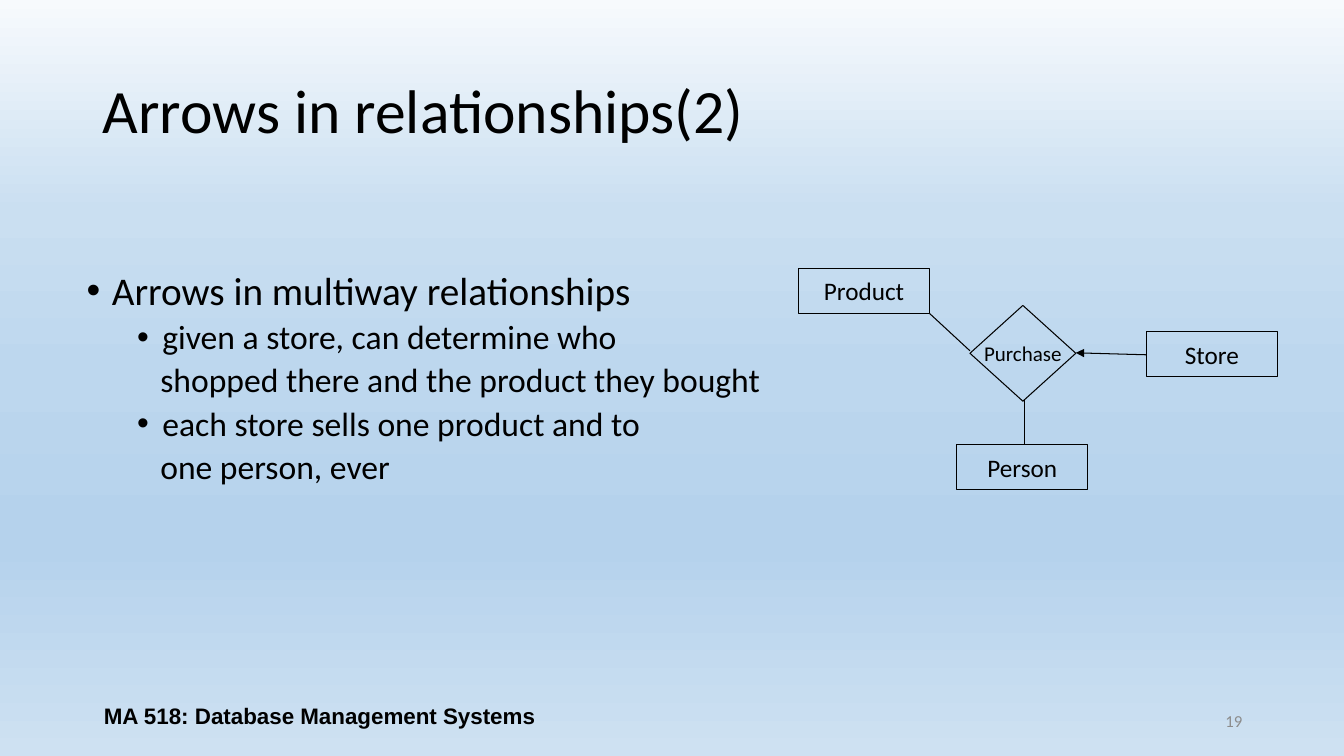
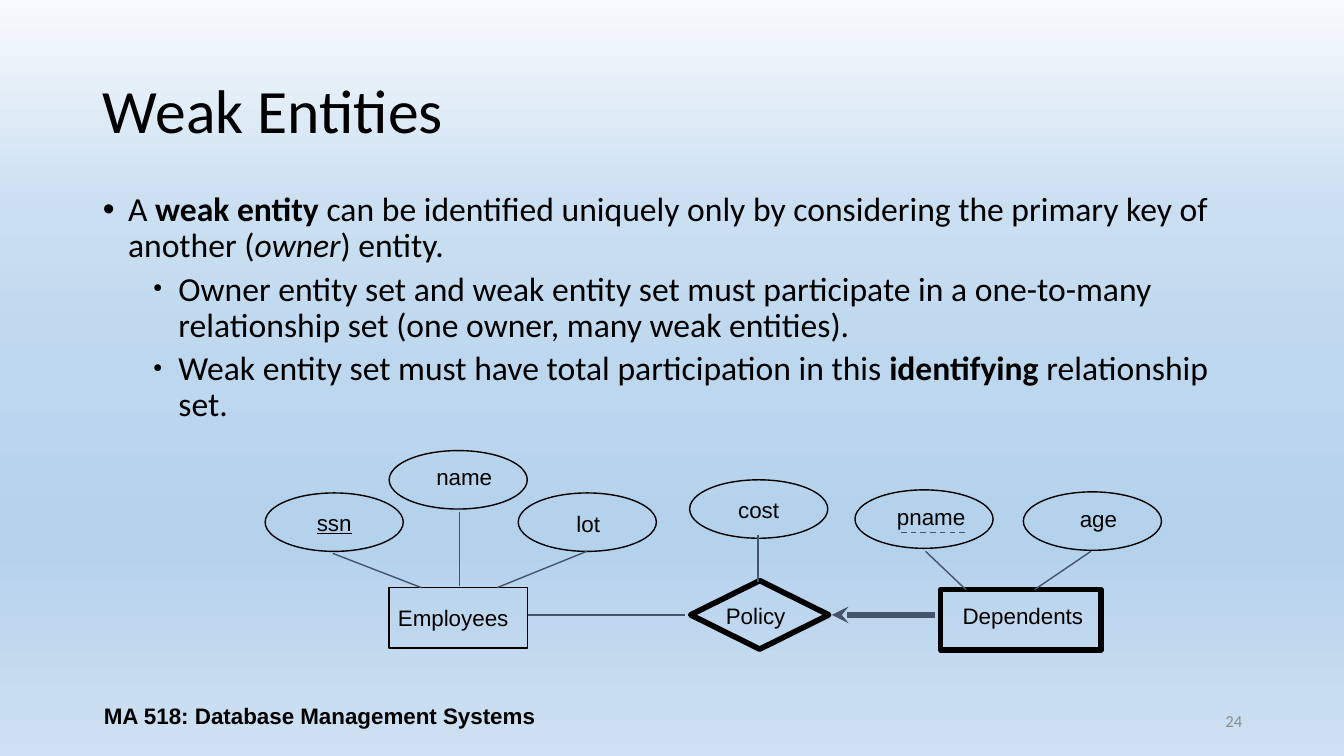
from lxml.etree import SubElement
from pptx import Presentation
from pptx.dml.color import RGBColor
from pptx.enum.dml import MSO_LINE
from pptx.enum.shapes import MSO_CONNECTOR, MSO_SHAPE
from pptx.enum.text import MSO_ANCHOR, MSO_AUTO_SIZE, PP_ALIGN
from pptx.oxml.ns import qn
from pptx.util import Inches, Pt

INK = {"text": "000000", "page": "8C8C8C", "link": "44546A"}
SKY = {0: "F7FAFD", 28: "CADFF1", 49: "BDD7EE", 71: "B5D2EC", 72: "B5D2EC", 100: "CEE1F2"}
COURSE = "MA 518: Database Management Systems"
LEFT, WIDE = 0.92, 11.5
FORM = {"box": MSO_SHAPE.RECTANGLE, "diamond": MSO_SHAPE.DIAMOND, "oval": MSO_SHAPE.OVAL}
BOX, OVAL = (1.3, 0.45), (1.37, 0.58)

# Paragraph kinds: level, left indent, first-line indent, space before, bullet size in %
KIND = {
    "main": (0, 0.25, -0.25, 10, 100),
    "sub": (1, 0.75, -0.25, 5, 100),
    "small": (1, 0.75, -0.25, 5, 75),
    "more": (1, 0.73, 0, 5, None),
}

# Nodes: form, label, left, top, size, line width, font size, label shift
# Links: from, to, colour, width, arrowhead at the end, dashed
SLIDES = [
    {
        "title": "Arrows in relationships(2)",
        "page": 19,
        "body": (0.76, 2.64, WIDE, 3.82),
        "text": [
            ("main", 28, [("Arrows in multiway relationships", "")]),
            ("sub", 24, [("given a store, can determine who", "")]),
            ("more", 24, [("shopped there and the product they bought", "")]),
            ("sub", 24, [("each store sells one product and to", "")]),
            ("more", 24, [("one person, ever", "")]),
        ],
        "font": "Calibri",
        "nodes": [
            ("diamond", "Purchase", 9.62, 3.03, (1.05, 0.95), 0.75, 15, (0, 0)),
            ("box", "Product", 7.92, 2.66, BOX, 0.75, 18, (0, 0)),
            ("box", "Person", 9.49, 4.41, BOX, 0.75, 18, (0, 0)),
            ("box", "Store", 11.37, 3.29, BOX, 0.75, 18, (0, 0)),
        ],
        "links": [
            ((10.16, 3.96), (10.16, 4.41), "text", 0.75, None, False),
            ((9.22, 3.11), (9.62, 3.48), "text", 0.75, None, False),
            ((11.37, 3.52), (10.67, 3.5), "text", 0.75, "triangle", False),
        ],
    },
    {
        "title": "Weak Entities",
        "page": 24,
        "body": (LEFT, 1.86, WIDE, 4.76),
        "text": [
            ("main", 24, [
                ("A ", ""), ("weak entity ", "b"),
                ("can be identified uniquely only by considering the primary key of another (", ""),
                ("owner", "i"), (") entity.", ""),
            ]),
            ("small", 24, [("Owner entity set and weak entity set must participate in a "
                            "one-to-many relationship set (one owner, many weak entities).", "")]),
            ("small", 24, [
                ("Weak entity set must have total participation in this ", ""),
                ("identifying ", "b"), ("relationship set.", ""),
            ]),
        ],
        "font": "Arial",
        "nodes": [
            ("oval", "ssn", 2.63, 4.89, OVAL, 1, 16, (0, 0)),
            ("oval", "name", 3.86, 4.47, OVAL, 1, 16, (0.06, -0.03)),
            ("oval", "lot", 5.14, 4.89, OVAL, 1, 16, (0.01, 0.01)),
            ("oval", "cost", 6.84, 4.76, OVAL, 1, 16, (0, 0.01)),
            ("oval", "pname", 8.48, 4.86, OVAL, 1, 16, (0.07, -0.03)),
            ("oval", "age", 10.15, 4.88, OVAL, 1, 16, (0.06, -0.03)),
            ("box", "Employees", 3.86, 5.83, (1.37, 0.6), 1, 16, (-0.05, 0)),
            ("diamond", "Policy", 6.85, 5.76, (1.37, 0.68), 4, 16, (-0.04, 0.01)),
            ("box", "Dependents", 9.33, 5.85, (1.59, 0.6), 4, 16, (0.02, -0.04)),
        ],
        "keys": ["ssn"],
        "links": [
            ((9.57, 5.28), (8.91, 5.28), "link", 1, None, True),
            ((4.56, 5.08), (4.56, 5.81), "link", 1, None, False),
            ((3.3, 5.49), (4.18, 5.83), "link", 1, None, False),
            ((5.82, 5.47), (4.93, 5.83), "link", 1, None, False),
            ((7.52, 5.77), (7.52, 5.31), "link", 1, None, False),
            ((9.18, 5.47), (9.58, 5.85), "link", 1, None, False),
            ((10.82, 5.47), (10.26, 5.85), "link", 1, None, False),
            ((6.79, 6.1), (5.24, 6.1), "link", 1, None, False),
            ((9.27, 6.1), (8.25, 6.1), "link", 4, "stealth", False),
        ],
    },
]


def color(name):
    return RGBColor.from_string(INK[name])


def style(para, size, face="Calibri", ink="text", align=PP_ALIGN.LEFT):
    para.alignment = align
    para.font.size, para.font.name = Pt(size), face
    para.font.color.rgb = color(ink)


def place(shape, left, top, wide, high):
    shape.left, shape.top = Inches(left), Inches(top)
    shape.width, shape.height = Inches(wide), Inches(high)


def paint(master):
    """Give the master the sky gradient, light at the top."""
    fill = master.background.fill
    fill.gradient()
    fill.gradient_angle = 270
    stops = master.element.find(".//" + qn("a:gsLst"))
    for stop in list(stops):
        stops.remove(stop)
    for share, tint in SKY.items():
        stop = SubElement(stops, qn("a:gs"), pos=str(share * 1000))
        SubElement(stop, qn("a:srgbClr"), val=tint)


def add_title(slide, text):
    title = slide.shapes.title
    place(title, LEFT, 0.4, WIDE, 1.45)
    frame = title.text_frame
    frame.text = text
    frame.vertical_anchor = MSO_ANCHOR.MIDDLE
    frame.auto_size = MSO_AUTO_SIZE.NONE
    frame.paragraphs[0].line_spacing = 0.9
    style(frame.paragraphs[0], 44)


def add_body(slide, area, text):
    body = slide.placeholders[1]
    place(body, *area)
    frame = body.text_frame
    frame.auto_size = MSO_AUTO_SIZE.NONE
    for i, (kind, size, runs) in enumerate(text):
        para = frame.paragraphs[0] if i == 0 else frame.add_paragraph()
        level, left, first, before, dot = KIND[kind]
        para.level = level
        para.line_spacing, para.space_before = 0.9, Pt(before)
        props = para._p.get_or_add_pPr()
        props.set("marL", str(Inches(left)))
        props.set("indent", str(Inches(first)))
        if dot:
            SubElement(props, qn("a:buSzPct"), val=str(dot * 1000))
            SubElement(props, qn("a:buFont"), typeface="Arial")
            SubElement(props, qn("a:buChar"), char="•")
        else:
            SubElement(props, qn("a:buNone"))
        style(para, size)
        for words, mark in runs:
            run = para.add_run()
            run.text = words
            if mark == "b":
                run.font.bold = True
            elif mark == "i":
                run.font.italic = True


def add_note(slide, area, text, *look):
    frame = slide.shapes.add_textbox(*map(Inches, area)).text_frame
    frame.word_wrap = True
    frame.vertical_anchor = MSO_ANCHOR.MIDDLE
    frame.text = text
    style(frame.paragraphs[0], *look)
    return frame.paragraphs[0]


def add_node(slide, face, keys, form, label, left, top, size, line, points, shift):
    node = slide.shapes.add_shape(FORM[form], *map(Inches, (left, top, *size)))
    node.shadow.inherit = False
    node.fill.background()
    node.line.color.rgb = color("text")
    node.line.width = Pt(line)
    frame = node.text_frame
    frame.word_wrap = False
    frame.vertical_anchor = MSO_ANCHOR.MIDDLE
    dx, dy = shift
    frame.margin_left, frame.margin_right = Inches(0.1 + dx), Inches(0.1 - dx)
    frame.margin_top, frame.margin_bottom = Inches(0.05 + dy), Inches(0.05 - dy)
    frame.text = label
    style(frame.paragraphs[0], points, face, "text", PP_ALIGN.CENTER)
    if label in keys:
        frame.paragraphs[0].runs[0].font.underline = True


def add_link(slide, start, end, ink, width, head, dashed):
    link = slide.shapes.add_connector(MSO_CONNECTOR.STRAIGHT, *map(Inches, start + end))
    link.line.color.rgb = color(ink)
    link.line.width = Pt(width)
    if dashed:
        link.line.dash_style = MSO_LINE.DASH
    if head:
        SubElement(link.line._get_or_add_ln(), qn("a:tailEnd"), type=head)
    SubElement(link._element.spPr, qn("a:effectLst"))


def main():
    deck = Presentation()
    deck.slide_width, deck.slide_height = Inches(13.33), Inches(7.5)
    paint(deck.slide_master)
    for data in SLIDES:
        slide = deck.slides.add_slide(deck.slide_layouts[1])
        add_title(slide, data["title"])
        add_body(slide, data["body"], data["text"])
        add_note(slide, (9.42, 6.95, 3, 0.4), str(data["page"]),
                 12, "Calibri", "page", PP_ALIGN.RIGHT)
        course = add_note(slide, (LEFT, 6.9, 4.5, 0.4), COURSE,
                          16, "Arial", "text", PP_ALIGN.CENTER)
        course.font.bold = True
        for node in data["nodes"]:
            add_node(slide, data["font"], data.get("keys", []), *node)
        for link in data["links"]:
            add_link(slide, *link)
    deck.save("out.pptx")


if __name__ == "__main__":
    main()
